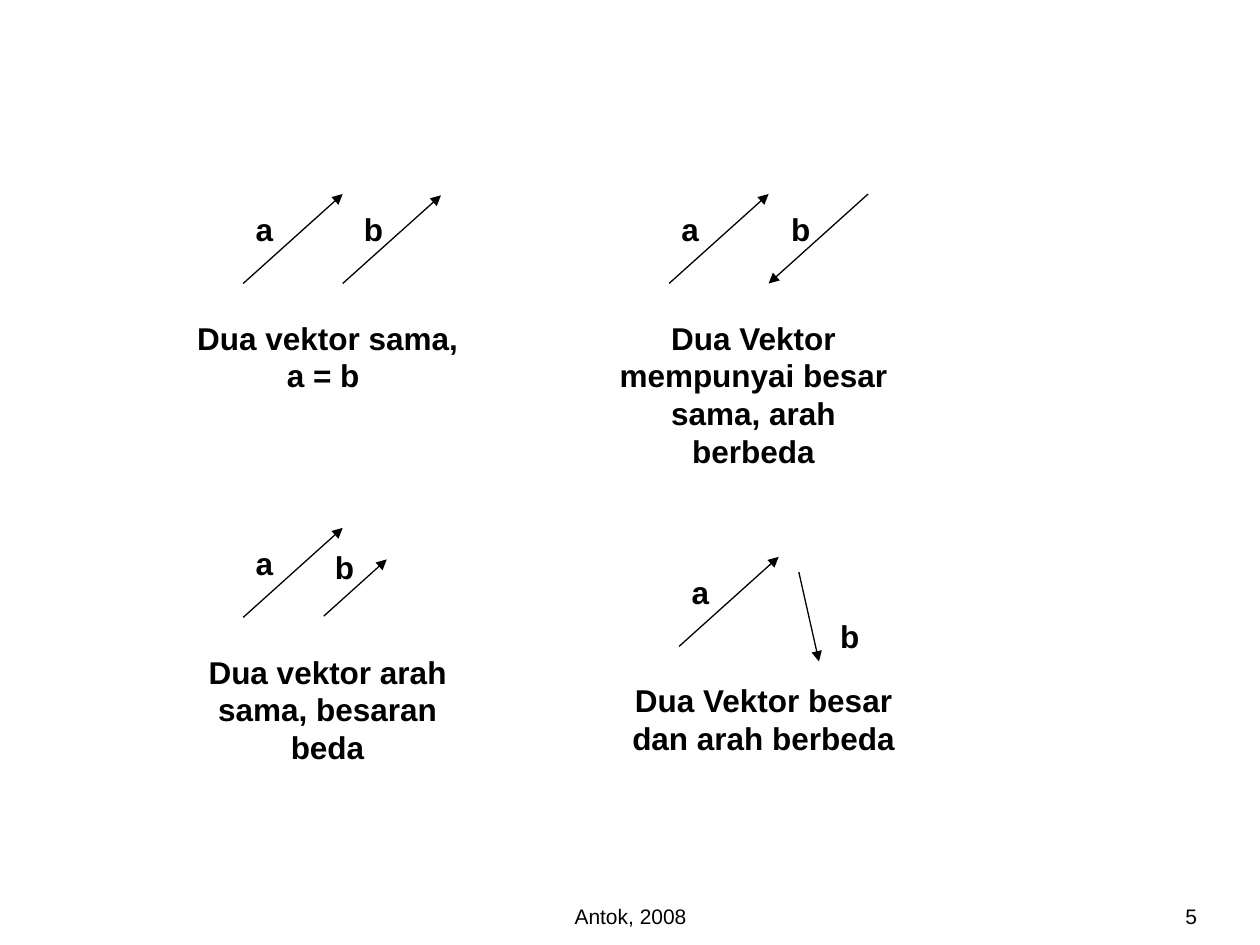
from pptx import Presentation
from pptx.dml.color import RGBColor
from pptx.enum.shapes import MSO_CONNECTOR
from pptx.enum.text import MSO_ANCHOR, MSO_AUTO_SIZE, PP_ALIGN as ALIGN
from pptx.oxml.ns import qn
from pptx.util import Inches, Pt
from lxml.etree import SubElement

BLACK = RGBColor(0x00, 0x00, 0x00)
WHITE = RGBColor(0xFF, 0xFF, 0xFF)

# Each panel: start of vector a, caption and its height,
# then vector b (start, end) and its label, measured from the start of a
PANELS = [
    ((1.93, 2.25), "Dua vektor sama, a = b ", 0.7,
     (0.79, 0), (1.57, -0.7), (0.86, -0.63)),
    ((5.31, 2.25), "Dua Vektor mempunyai besar sama, arah berbeda", 1.3,
     (1.58, -0.71), (0.79, 0), (0.87, -0.63)),
    ((1.93, 4.9), "Dua vektor arah sama, besaran beda", 1.0,
     (0.64, -0.01), (1.14, -0.46), (0.63, -0.6)),
    ((5.39, 5.13), "Dua Vektor besar dan arah berbeda", 0.7,
     (0.95, -0.59), (1.11, 0.12), (1.18, -0.28)),
]


class VectorSlide:
    font = "Arial"

    def __init__(self, page):
        self.page = page
        page.background.fill.solid()
        page.background.fill.fore_color.rgb = WHITE

    def text(self, shapes, words, left, top, width, height, size=18,
             bold=True, align=ALIGN.LEFT):
        box = shapes.add_textbox(Inches(left), Inches(top),
                                 Inches(width), Inches(height))
        frame = box.text_frame
        frame.word_wrap = True
        frame.auto_size = MSO_AUTO_SIZE.SHAPE_TO_FIT_TEXT
        para = frame.paragraphs[0]
        para.text = words
        para.alignment = align
        para.font.name = self.font
        para.font.size = Pt(size)
        para.font.bold = bold
        para.font.color.rgb = BLACK
        return frame

    def footer(self, words, left, width, align, side_margin):
        frame = self.text(self.page.shapes, words, left, 7.02, width, 0.4,
                          size=12, bold=False, align=align)
        frame.auto_size = MSO_AUTO_SIZE.NONE
        frame.vertical_anchor = MSO_ANCHOR.BOTTOM
        frame.margin_left = frame.margin_right = Inches(side_margin)

    def arrow(self, shapes, start, end):
        vector = shapes.add_connector(MSO_CONNECTOR.STRAIGHT,
                                      *map(Inches, start + end))
        vector.line.color.rgb = BLACK
        vector.line.width = Pt(0.75)
        SubElement(vector.line._get_or_add_ln(), qn("a:tailEnd"),
                   type="triangle")
        SubElement(vector._element.spPr, qn("a:effectLst"))

    def panel(self, origin, caption, height, b_start, b_end, b_label):
        def place(offset):
            return origin[0] + offset[0], origin[1] + offset[1]

        shapes = self.page.shapes.add_group_shape().shapes
        self.arrow(shapes, origin, place((0.79, -0.71)))
        self.arrow(shapes, place(b_start), place(b_end))
        self.text(shapes, "a", *place((0, -0.63)), 0.63, 0.4)
        self.text(shapes, "b", *place(b_label), 0.63, 0.4)
        self.text(shapes, caption, *place((-0.55, 0.23)), 2.44, height,
                  align=ALIGN.CENTER)


def main():
    deck = Presentation()
    deck.slide_width, deck.slide_height = Inches(10), Inches(7.5)
    blank = deck.slide_layouts[6]
    slide = VectorSlide(deck.slides.add_slide(blank))

    # Footer and page number
    slide.footer("Antok, 2008", 3.42, 3.17, ALIGN.CENTER, 0.1)
    slide.footer("5", 8.67, 0.83, ALIGN.RIGHT, 0)

    # Four comparisons of two vectors
    for panel in PANELS:
        slide.panel(*panel)

    deck.save("out.pptx")


if __name__ == "__main__":
    main()
